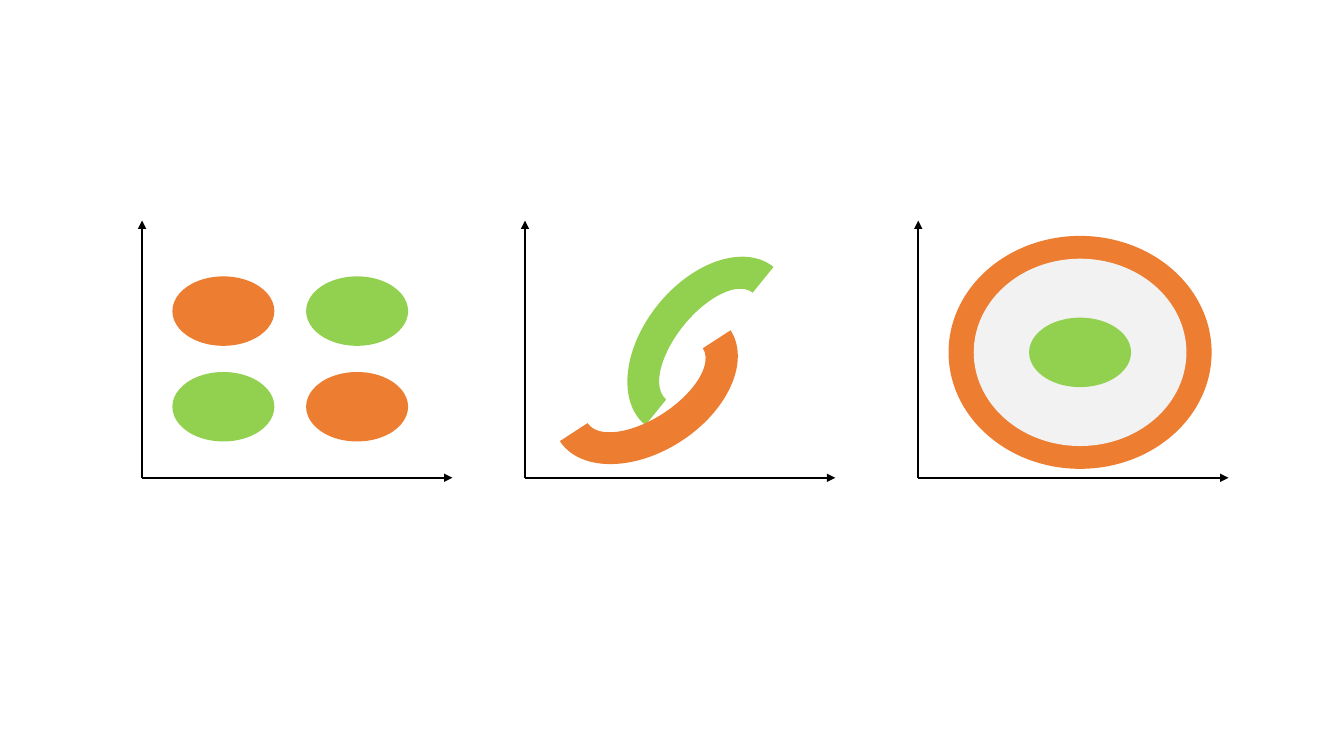
from dataclasses import dataclass

from lxml import etree
from pptx import Presentation
from pptx.dml.color import RGBColor
from pptx.enum.shapes import MSO_CONNECTOR, MSO_SHAPE
from pptx.oxml.ns import qn
from pptx.util import Cm, Pt

ELLIPSE = MSO_SHAPE.OVAL
BLOCK_ARC = MSO_SHAPE.BLOCK_ARC
STRAIGHT = MSO_CONNECTOR.STRAIGHT


@dataclass(frozen=True)
class Theme:
    orange: RGBColor = RGBColor(0xED, 0x7D, 0x31)
    green: RGBColor = RGBColor(0x92, 0xD0, 0x50)
    gray: RGBColor = RGBColor(0xF2, 0xF2, 0xF2)
    axis: RGBColor = RGBColor(0x00, 0x00, 0x00)
    axis_width: Pt = Pt(1.5)


THEME = Theme()

# Sizes in centimetres
BASELINE = 12.04
AXIS_WIDTH, AXIS_HEIGHT = 7.82, 6.48
CLUSTER_SIZE = (2.57, 1.75)
ARC_SIZE = (5.13, 3.33)


def add_arrow(group, start, end):
    """Draw a straight arrow between two points."""
    arrow = group.shapes.add_connector(
        STRAIGHT, *(Cm(value) for value in (*start, *end)))
    arrow.line.color.rgb = THEME.axis
    arrow.line.width = THEME.axis_width
    etree.SubElement(arrow.line._get_or_add_ln(), qn("a:tailEnd"), type="triangle")
    etree.SubElement(arrow._element.spPr, qn("a:effectLst"))


def add_plot(slide, left):
    """Start a plot group with its two axes."""
    group = slide.shapes.add_group_shape()
    origin = (left, BASELINE)
    add_arrow(group, origin, (left, BASELINE - AXIS_HEIGHT))
    add_arrow(group, origin, (left + AXIS_WIDTH, BASELINE))
    return group


def add_region(group, kind, center, size, color, rotation=0):
    """Draw a filled region around its centre."""
    (x, y), (width, height) = center, size
    shape = group.shapes.add_shape(
        kind, Cm(x - width / 2), Cm(y - height / 2), Cm(width), Cm(height))
    shape.rotation = rotation
    shape.shadow.inherit = False
    shape.fill.solid()
    shape.fill.fore_color.rgb = color
    shape.line.fill.background()


def add_checkerboard_plot(slide):
    plot = add_plot(slide, 3.58)
    for row, y in enumerate((7.84, 10.25)):
        for column, x in enumerate((5.63, 9.0)):
            color = THEME.orange if row == column else THEME.green
            add_region(plot, ELLIPSE, (x, y), CLUSTER_SIZE, color)


def add_moons_plot(slide):
    plot = add_plot(slide, 13.23)
    add_region(plot, BLOCK_ARC, (17.88, 8.72), ARC_SIZE, THEME.green, 309)
    add_region(plot, BLOCK_ARC, (16.26, 9.72), ARC_SIZE, THEME.orange, 147)


def add_ring_plot(slide):
    plot = add_plot(slide, 23.14)
    layers = (
        ((6.63, 5.87), THEME.orange),
        ((5.36, 4.72), THEME.gray),
        (CLUSTER_SIZE, THEME.green),
    )
    for size, color in layers:
        add_region(plot, ELLIPSE, (27.22, 8.88), size, color)


def main():
    presentation = Presentation()
    presentation.slide_width = Cm(33.87)
    presentation.slide_height = Cm(19.05)
    slide = presentation.slides.add_slide(presentation.slide_layouts[6])

    # Three data patterns, left to right
    add_checkerboard_plot(slide)
    add_moons_plot(slide)
    add_ring_plot(slide)

    presentation.save("out.pptx")


if __name__ == "__main__":
    main()
